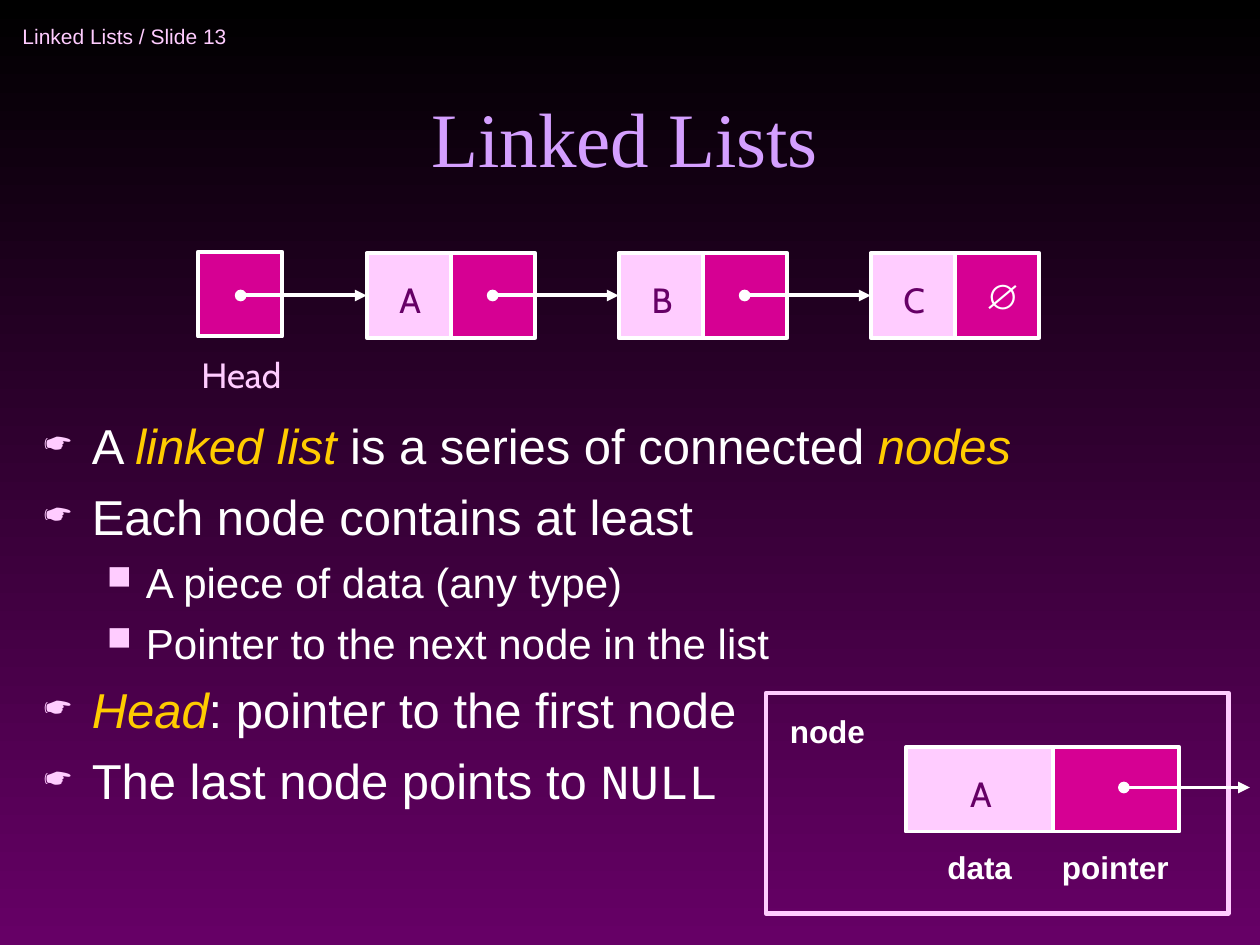
import pptx
import pptx.util
import pptx.dml.color
import pptx.enum.shapes
import pptx.enum.text
import pptx.oxml
import pptx.oxml.ns

RGB = pptx.dml.color.RGBColor
BLACK = RGB(0x00, 0x00, 0x00)
PURPLE = RGB(0x66, 0x00, 0x66)
PINK = RGB(0xFF, 0xCC, 0xFF)
LILAC = RGB(0xD4, 0x9F, 0xFF)
MAGENTA = RGB(0xD6, 0x00, 0x93)
YELLOW = RGB(0xFF, 0xCC, 0x00)
WHITE = RGB(0xFF, 0xFF, 0xFF)
Inches = pptx.util.Inches
Pt = pptx.util.Pt
ALIGN = pptx.enum.text.PP_ALIGN
ANCHOR = pptx.enum.text.MSO_ANCHOR

TEXT = {"size": 28, "name": "Arial", "color": WHITE}
TERM = {**TEXT, "color": YELLOW, "italic": True}
CODE = {**TEXT, "name": "Courier New"}
DETAIL = {**TEXT, "size": 24}
CAPTION = {**TEXT, "size": 18, "bold": True}
LETTER = {"size": 20, "name": "Cabin", "color": PURPLE}
HEAD = {**LETTER, "color": PINK}
NULL = {**TEXT, "size": 20, "bold": True}
TITLE = {"size": 44, "name": "Times New Roman", "color": LILAC}
FOOTER = {"size": 12, "name": "Arial", "color": PINK}

LEVELS = [
    {"bullet": "☛", "share": 75, "left": 0.38, "hang": 0.38, "before": 7},
    {"bullet": "■", "share": 80, "left": 0.81, "hang": 0.31, "before": 6},
]
POINTS = [
    (0, [("A ", TEXT), ("linked list", TERM),
         (" is a series of connected ", TEXT), ("nodes", TERM)]),
    (0, [("Each node contains at least", TEXT)]),
    (1, [("A piece of data (any type)", DETAIL)]),
    (1, [("Pointer to the next node in the list", DETAIL)]),
    (0, [("Head", TERM), (": pointer to the first node", TEXT)]),
    (0, [("The last node points to ", TEXT), ("NULL", CODE)]),
]
NODES = ["A", "B", "C"]
CAPTIONS = [("node", 6.17, 5.6, 0.92), ("data", 7.42, 6.68, 0.75),
            ("pointer", 8.33, 6.68, 1.08)]

CELL = 0.67
ROW_TOP = 2.01
ARROW_Y = 2.34
FIRST_NODE = 2.91
PITCH = 2
HEAD_LEFT = 1.57
DETAIL_LEFT, DETAIL_TOP = 7.19, 5.93
DATA_WIDTH, POINTER_WIDTH = 1.17, 1

deck = pptx.Presentation()
deck.slide_width, deck.slide_height = Inches(10), Inches(7.5)
slide = deck.slides.add_slide(deck.slide_layouts[6])


def add_span(para, text, style):
    span = para.add_run()
    span.text = text
    for key, value in style.items():
        if key == "color":
            span.font.color.rgb = value
        else:
            setattr(span.font, key, Pt(value) if key == "size" else value)


def add_frame(left, top, width, height, wrap=True, anchor=ANCHOR.TOP):
    box = slide.shapes.add_textbox(*map(Inches, (left, top, width, height)))
    box.text_frame.word_wrap = wrap
    box.text_frame.vertical_anchor = anchor
    return box.text_frame


def add_label(text, place, style, align=ALIGN.CENTER, **options):
    para = add_frame(*place, **options).paragraphs[0]
    para.alignment = align
    add_span(para, text, style)


def add_cell(left, top, width, height, fill, line=WHITE, weight=2.25):
    cell = slide.shapes.add_shape(
        pptx.enum.shapes.MSO_SHAPE.RECTANGLE,
        *map(Inches, (left, top, width, height)))
    cell.shadow.inherit = False
    if fill is None:
        cell.fill.background()
    else:
        cell.fill.solid()
        cell.fill.fore_color.rgb = fill
    cell.line.color.rgb = line
    cell.line.width = Pt(weight)
    return cell


def add_arrow(left, y, target=None):
    arrow = slide.shapes.add_connector(
        pptx.enum.shapes.MSO_CONNECTOR.STRAIGHT,
        *map(Inches, (left, y, left + 1, y)))
    if target is not None:
        arrow.end_connect(target, 1)
        arrow.begin_y = arrow.end_y
    arrow.line.color.rgb = WHITE
    arrow.line.width = Pt(2.25)
    outline = arrow.line._get_or_add_ln()
    for tag, kind in (("a:headEnd", "oval"), ("a:tailEnd", "triangle")):
        end = pptx.oxml.ns.qn(tag)
        outline.append(outline.makeelement(end, {"type": kind}))
    properties = arrow._element.spPr
    properties.append(properties.makeelement(pptx.oxml.ns.qn("a:effectLst"), {}))


def add_node(letter, left, top, data_width, pointer_width):
    data = add_cell(left, top, data_width, CELL, PINK)
    add_cell(left + data_width, top, pointer_width, CELL, MAGENTA)
    letter_left = left + (data_width - 0.38) / 2 + 0.01
    add_label(letter, (letter_left, top + 0.15, 0.38, 0.44), LETTER, wrap=False)
    return data


def set_bullet(para, level):
    properties = para._p.get_or_add_pPr()
    properties.set("marL", str(Inches(level["left"])))
    properties.set("indent", str(-Inches(level["hang"])))
    for tag, attributes in (
        ("a:buClr", {}),
        ("a:buSzPct", {"val": str(level["share"] * 1000)}),
        ("a:buChar", {"char": level["bullet"]}),
    ):
        item = properties.makeelement(pptx.oxml.ns.qn(tag), attributes)
        properties.append(item)
        if tag == "a:buClr":
            color = pptx.oxml.ns.qn("a:srgbClr")
            item.append(item.makeelement(color, {"val": str(PINK)}))


background = slide.background.fill
background.gradient()
background.gradient_angle = 270
for stop, position, color in zip(background.gradient_stops, (0, 1), (BLACK, PURPLE)):
    stop.position = position
    stop.color.rgb = color

add_label("Linked Lists / Slide 13", (0.08, 0.08, 2.75, 0.42), FOOTER,
          align=ALIGN.LEFT, wrap=False, anchor=ANCHOR.MIDDLE)
add_label("Linked Lists", (0.67, 0.25, 8.58, 1.25), TITLE, anchor=ANCHOR.BOTTOM)

body = add_frame(0.25, 3.25, 8.58, 3.33)
for index, (depth, spans) in enumerate(POINTS):
    para = body.add_paragraph() if index else body.paragraphs[0]
    para.level = depth
    set_bullet(para, LEVELS[depth])
    if index:
        para.space_before = Pt(LEVELS[depth]["before"])
    for text, style in spans:
        add_span(para, text, style)

add_cell(HEAD_LEFT, ROW_TOP - 0.01, CELL, CELL, MAGENTA)
add_label("Head", (1.47, 2.76, 0.89, 0.44), HEAD, wrap=False)
lefts = [FIRST_NODE + PITCH * index for index in range(len(NODES))]
targets = [add_node(letter, left, ROW_TOP, CELL, CELL)
           for letter, left in zip(NODES, lefts)]
for left, target in zip(lefts, targets):
    add_arrow(left - 1, ARROW_Y, target)
add_label("∅", (7.72, 2.13, 0.42, 0.44), NULL, wrap=False)

add_node("A", DETAIL_LEFT, DETAIL_TOP, DATA_WIDTH, POINTER_WIDTH)
add_cell(6.08, 5.5, 3.67, 1.75, None, PINK, 2.5)
for text, left, top, width in CAPTIONS:
    add_label(text, (left, top, width, 0.4), CAPTION, align=ALIGN.LEFT)
add_arrow(8.92, 6.25)

deck.save("out.pptx")
